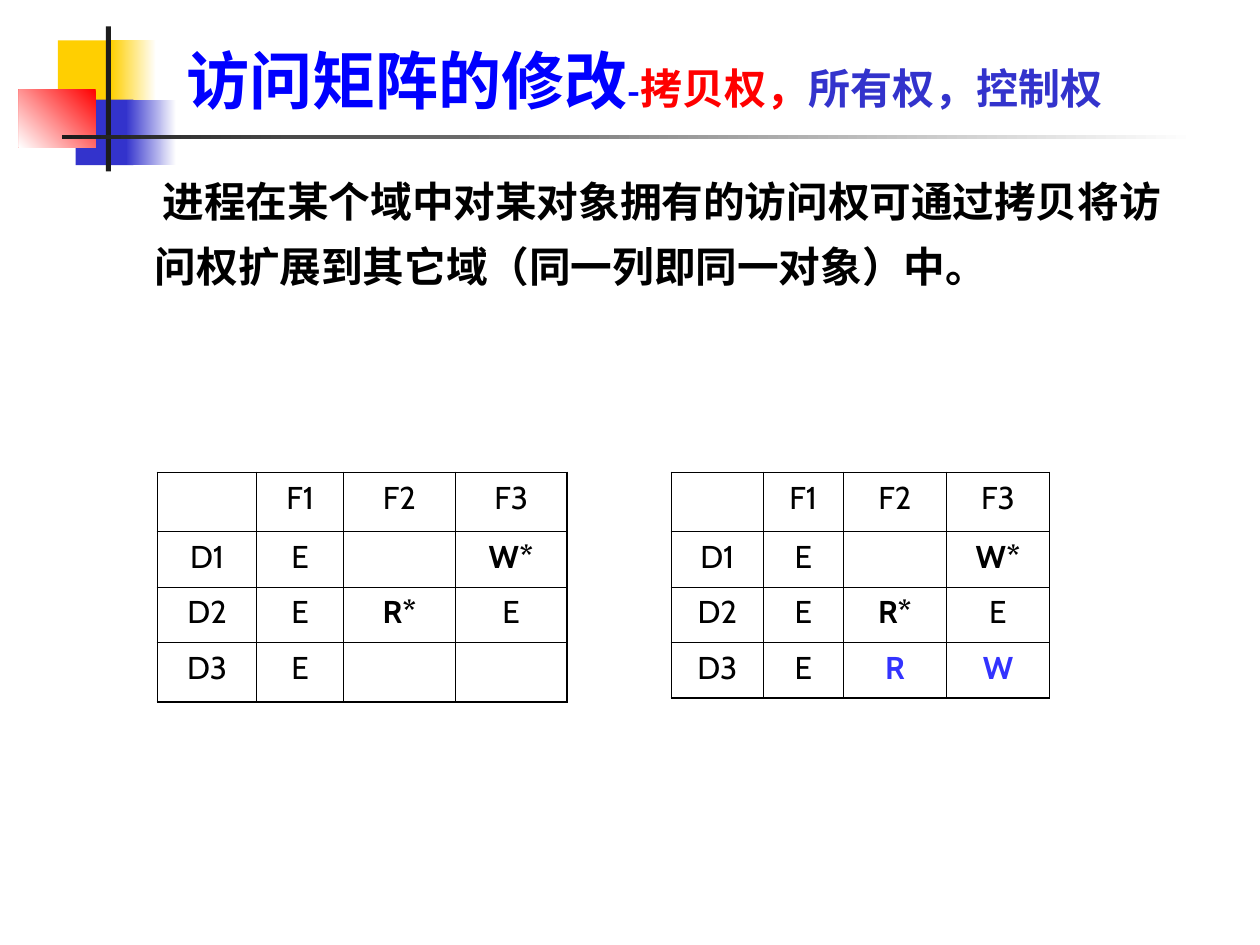
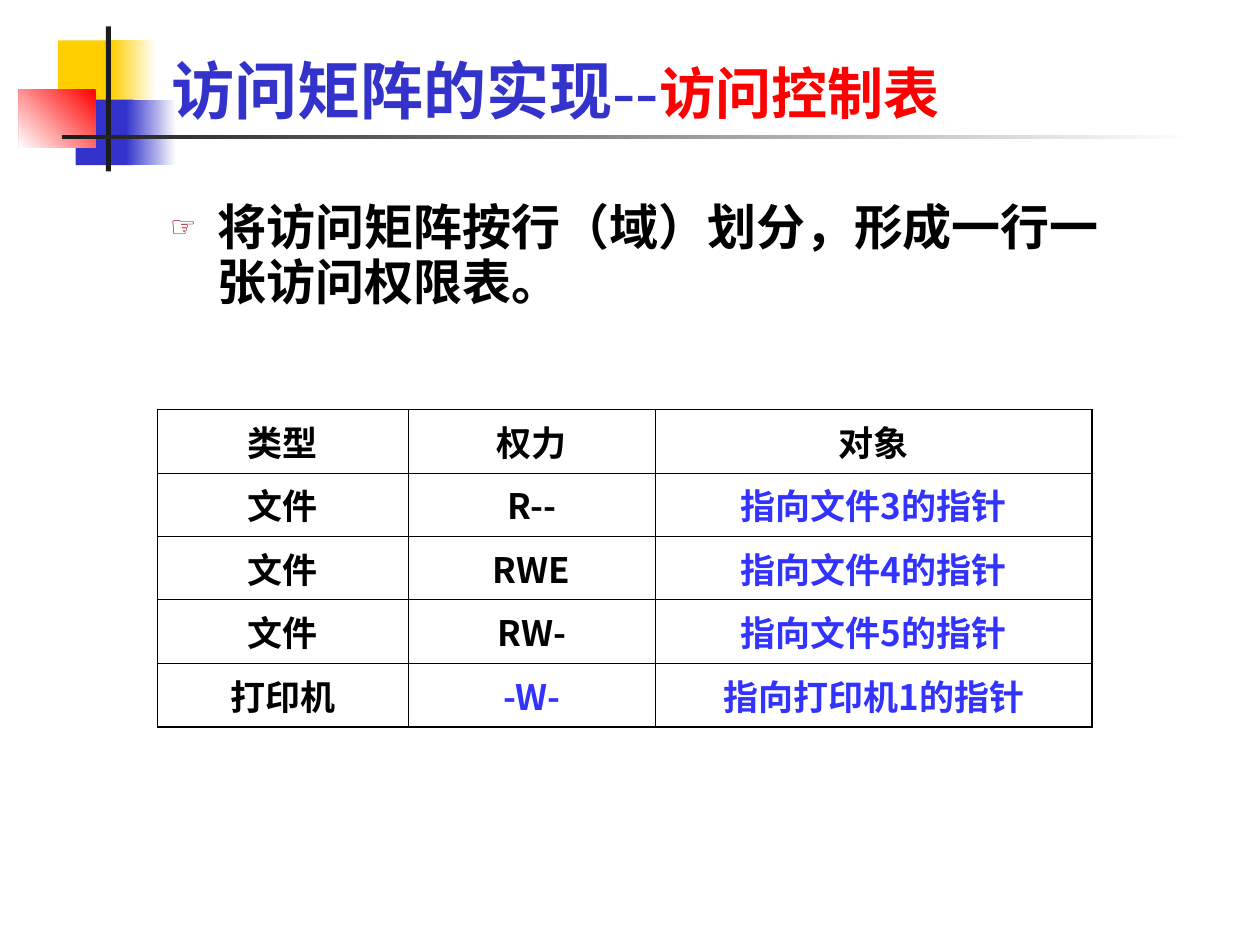
from dataclasses import dataclass

from lxml.etree import SubElement
from pptx import Presentation
from pptx.dml.color import RGBColor
from pptx.enum.shapes import MSO_SHAPE
from pptx.enum.text import MSO_ANCHOR, MSO_AUTO_SIZE, PP_ALIGN
from pptx.oxml.ns import qn
from pptx.util import Inches, Pt


@dataclass(frozen=True)
class Theme:
    black: str = "000000"
    white: str = "FFFFFF"
    ink: str = "1C1C1C"
    yellow: str = "FFCF01"
    red: str = "FF0000"
    indigo: str = "3333CC"
    blue: str = "0000FF"
    accent: str = "3333FF"
    bullet: str = "A50021"
    latin: str = "Cabin"
    cjk: str = "Noto Sans CJK SC"
    title: float = 36
    subtitle: float = 32
    aside: float = 24
    dash: float = 20
    lead: float = 23.8
    point: float = 28
    matrix: float = 18
    listing: float = 20
    outer_line: float = 1.08
    inner_line: float = 0.45


T = Theme()

# Left, top, width, height, colours (two make a gradient), gradient angle
BAND = [
    (0.46, 0.32, 0.48, 0.52, (T.yellow,), 0),
    (0.88, 0.32, 0.36, 0.52, (T.white, T.yellow), 180),
    (0.60, 0.79, 0.46, 0.52, (T.indigo,), 0),
    (1.00, 0.79, 0.40, 0.52, (T.white, T.indigo), 180),
    (0.15, 0.71, 0.61, 0.46, (T.red, T.white), 225),
    (0.84, 0.21, 0.04, 1.15, (T.ink,), 0),
    (0.49, 1.07, 9.00, 0.03, (T.white, T.ink), 180),
]

MATRIX_HEAD = ["", "F1", "F2", "F3"]
MATRIX_TOP_ROWS = [MATRIX_HEAD, ["D1", "E", "", "W*"], ["D2", "E", "R*", "E"]]
COPY_RIGHTS = {(1, 3), (2, 2)}
COPIED = {(3, 2), (3, 3)}
MATRIX = dict(shares=(8, 7, 9, 9), face=T.latin, size=T.matrix)

SLIDES = [
    dict(
        title=[("访问矩阵的修改", T.title, T.blue), ("-", T.dash, T.blue),
               ("拷贝权，", T.aside, T.red), ("所有权，控制权", T.aside, T.indigo)],
        title_box=(1.38, 0.13, 8.78, 0.85),
        title_face=T.cjk,
        body="进程在某个域中对某对象拥有的访问权可通过拷贝将访问权扩展到其它域（同一列即同一对象）中。",
        body_box=(0.75, 1.23, 8.75, 1.25),
        body_style=dict(face=T.cjk, size=T.lead, spacing=1.3, indent=0.06),
        tables=[
            dict(MATRIX, rows=MATRIX_TOP_ROWS + [["D3", "E", "", ""]],
                 box=(1.25, 3.75, 3.25), heights=(0.47, 0.44, 0.44, 0.47),
                 bold=COPY_RIGHTS),
            dict(MATRIX, rows=MATRIX_TOP_ROWS + [["D3", "E", "R", "W"]],
                 box=(5.33, 3.75, 3.0), heights=(0.47, 0.44, 0.44, 0.44),
                 bold=COPY_RIGHTS | COPIED, accented=COPIED),
        ],
    ),
    dict(
        title=[("访问矩阵的实现", T.title, T.indigo), ("--", T.subtitle, T.indigo),
               ("访问控制表", T.subtitle, T.red)],
        title_box=(1.26, -0.19, 8.52, 1.25),
        title_face=T.latin,
        body="将访问矩阵按行（域）划分，形成一行一张访问权限表。",
        body_box=(1.25, 1.54, 7.92, 1.02),
        body_style=dict(face=T.latin, size=T.point, spacing=0.95, indent=-0.38,
                        bullet="☞"),
        tables=[
            dict(rows=[["类型", "权力", "对象"],
                       ["文件", "R--", "指向文件3的指针"],
                       ["文件", "RWE", "指向文件4的指针"],
                       ["文件", "RW-", "指向文件5的指针"],
                       ["打印机", "-W-", "指向打印机1的指针"]],
                 box=(1.25, 3.25, 7.42), heights=(0.5,) * 5,
                 shares=(199, 196, 347), face=T.cjk, size=T.listing,
                 bold={(r, c) for r in range(5) for c in range(3)},
                 accented={(r, 2) for r in range(1, 5)} | {(4, 1)}),
        ],
    ),
]


def rgb(colour):
    return RGBColor.from_string(colour)


def set_font(font, face, size, colour, bold):
    """Style a font, with the Chinese face for East Asian characters."""
    font.size, font.bold = Pt(size), bold
    font.color.rgb = rgb(colour)
    font.name = face
    SubElement(font._rPr, qn("a:ea"), typeface=T.cjk)


def place(shape, box):
    shape.left, shape.top, shape.width, shape.height = map(Inches, box)


def add_band(slide, master):
    """Draw the corner ornament and move it to the master, behind its text."""
    tree = master.element.cSld.spTree
    for order, (*box, colours, angle) in enumerate(BAND):
        block = slide.shapes.add_shape(MSO_SHAPE.RECTANGLE, *map(Inches, box))
        block.shadow.inherit = False
        block.line.fill.background()
        if len(colours) == 1:
            block.fill.solid()
            block.fill.fore_color.rgb = rgb(colours[0])
        else:
            block.fill.gradient()
            block.fill.gradient_angle = angle
            for stop, colour in zip(block.fill.gradient_stops, colours):
                stop.color.rgb = rgb(colour)
        tree.insert(2 + order, block.element)


def fill_title(title, parts, box, face):
    place(title, box)
    frame = title.text_frame
    frame.auto_size = MSO_AUTO_SIZE.NONE
    frame.vertical_anchor = MSO_ANCHOR.BOTTOM
    paragraph = frame.paragraphs[0]
    paragraph.alignment = PP_ALIGN.LEFT
    for text, size, colour in parts:
        run = paragraph.add_run()
        run.text = text
        set_font(run.font, face, size, colour, True)


def fill_body(body, text, box, face, size, spacing, indent, bullet=None):
    place(body, box)
    body.text_frame.auto_size = MSO_AUTO_SIZE.NONE
    paragraph = body.text_frame.paragraphs[0]
    paragraph.text = text
    props = paragraph._p.get_or_add_pPr()
    props.set("marL", str(Inches(0.38)))
    props.set("indent", str(Inches(indent)))
    if bullet:
        SubElement(SubElement(props, qn("a:buClr")), qn("a:srgbClr"), val=T.bullet)
        SubElement(props, qn("a:buSzPct"), val="60000")
        SubElement(props, qn("a:buChar"), char=bullet)
    else:
        SubElement(props, qn("a:buNone"))
    paragraph.line_spacing = spacing
    paragraph.space_before = Pt(0)
    set_font(paragraph.font, face, size, T.black, True)


def set_borders(cell, outer_sides):
    """Rule all four sides, heavier on those at the table's edge."""
    props = cell._tc.get_or_add_tcPr()
    for order, side in enumerate("LRTB"):
        weight = T.outer_line if side in outer_sides else T.inner_line
        line = props.makeelement(qn(f"a:ln{side}"), {"w": str(Pt(weight))})
        SubElement(SubElement(line, qn("a:solidFill")), qn("a:srgbClr"), val=T.black)
        props.insert(order, line)


def add_grid(slide, rows, box, heights, shares, face, size, bold, accented=()):
    left, top, width = box
    grid = slide.shapes.add_table(
        len(rows), len(shares),
        *map(Inches, (left, top, width, sum(heights)))).table
    grid.first_row = grid.horz_banding = False
    for column, share in zip(grid.columns, shares):
        column.width = Inches(width * share / sum(shares))
    for r, (row, height) in enumerate(zip(rows, heights)):
        grid.rows[r].height = Inches(height)
        for c, text in enumerate(row):
            cell = grid.cell(r, c)
            cell.fill.background()
            edges = {"L": c == 0, "R": c == len(row) - 1,
                     "T": r == 0, "B": r == len(rows) - 1}
            set_borders(cell, [side for side, at_edge in edges.items() if at_edge])
            paragraph = cell.text_frame.paragraphs[0]
            paragraph.text = text
            paragraph.alignment = PP_ALIGN.CENTER
            colour = T.accent if (r, c) in accented else T.black
            set_font(paragraph.font, face, size, colour, (r, c) in bold)


def main():
    deck = Presentation()
    deck.slide_width, deck.slide_height = Inches(10), Inches(7.5)
    layout = deck.slide_layouts[1]
    for number, content in enumerate(SLIDES):
        slide = deck.slides.add_slide(layout)
        if number == 0:
            add_band(slide, deck.slide_master)
        fill_title(slide.shapes.title, content["title"], content["title_box"],
                   content["title_face"])
        fill_body(slide.placeholders[1], content["body"], content["body_box"],
                  **content["body_style"])
        for grid in content["tables"]:
            add_grid(slide, **grid)
    deck.save("out.pptx")


if __name__ == "__main__":
    main()
